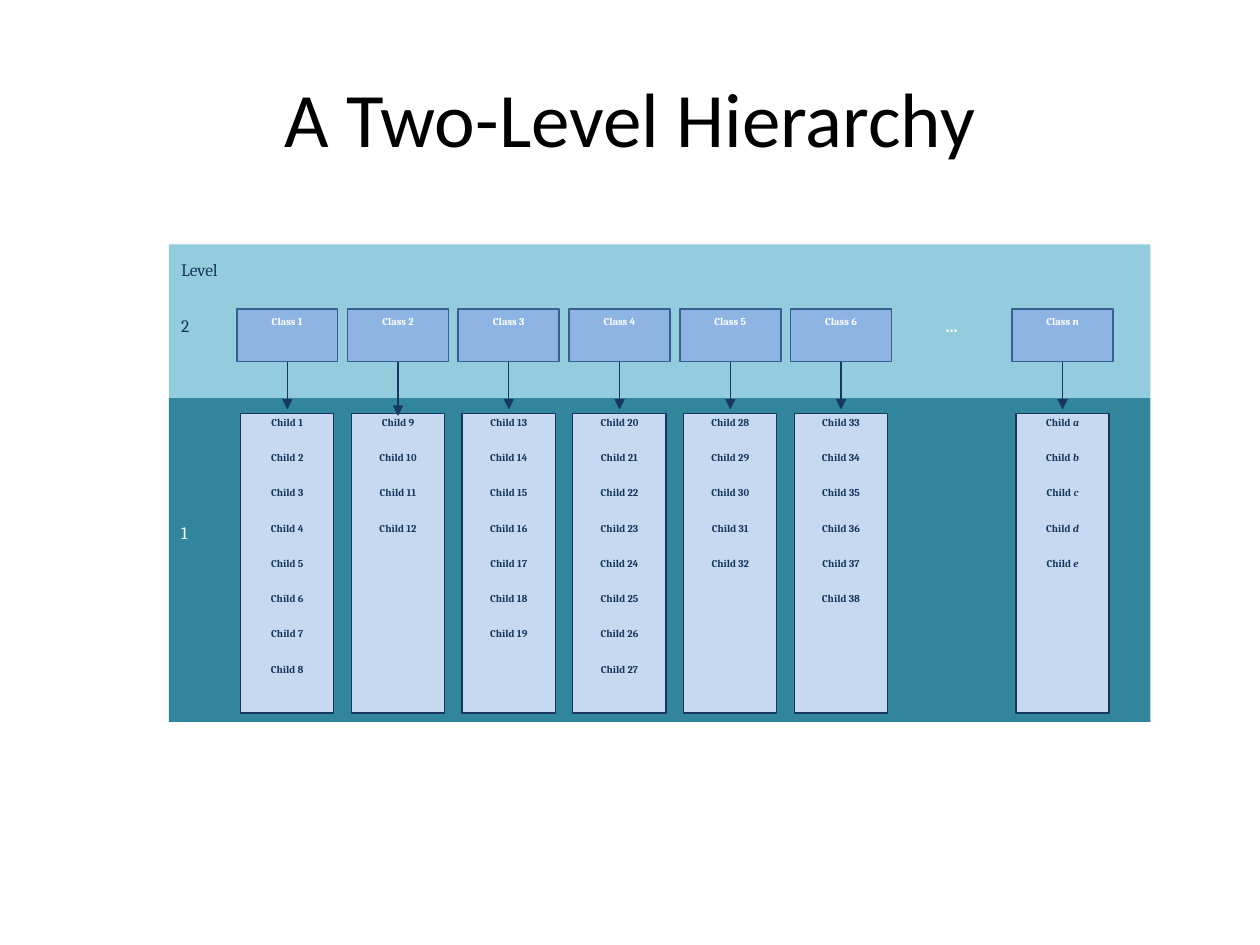
from dataclasses import dataclass
from itertools import count, islice

import pptx
import pptx.dml.color
import pptx.enum.shapes
import pptx.enum.text
import pptx.oxml
import pptx.oxml.ns
import pptx.util

Inches = pptx.util.Inches
Kind = pptx.enum.shapes.MSO_SHAPE
Align = pptx.enum.text.PP_ALIGN
Anchor = pptx.enum.text.MSO_ANCHOR

NAVY, INK, WHITE = "17375E", "17365D", "FFFFFF"
LEFT, PITCH, WIDE = 1.88, 0.879, 0.8     # column grid
ROW, HIGH = 2.45, 0.42                   # class row
TOP, STEP = 3.25, 0.28                   # child rows


@dataclass
class Style:
    size: float
    color: str
    bold: bool = False
    font: str = "Cambria"
    align: Align = Align.CENTER


@dataclass
class Column:
    slot: int
    name: str
    kids: list[str]
    var: str = ""
    marks: str = ""
    tip: float = TOP


@dataclass
class Label:
    text: str
    top: float
    width: float
    height: float
    color: str


CLASS = Style(6, WHITE, True)
CHILD = Style(6, INK, True)
DOTS = Style(10, WHITE, True)
TITLE = Style(44, "000000", font="Calibri")


def rgb(code: str) -> pptx.dml.color.RGBColor:
    return pptx.dml.color.RGBColor.from_string(code)


def write(shape, text: str, style: Style, var: str = "") -> None:
    """Set one paragraph, ending in an italic variable if given."""
    frame = shape.text_frame
    frame.word_wrap = True
    frame.text = text
    para = frame.paragraphs[0]
    para.alignment = style.align
    if var:
        run = para.add_run()
        run.text = var
        run.font.italic = True
    for run in para.runs:
        run.font.size = pptx.util.Pt(style.size)
        run.font.name = style.font
        run.font.bold = style.bold
        run.font.color.rgb = rgb(style.color)


def box(shapes, kind: Kind, x: float, y: float, w: float, h: float,
        fill: str = "", line: str = "", weight: float = 0.75):
    shape = shapes.add_shape(kind, Inches(x), Inches(y), Inches(w), Inches(h))
    shape.shadow.inherit = False
    shape.text_frame.vertical_anchor = Anchor.TOP
    if fill:
        shape.fill.solid()
        shape.fill.fore_color.rgb = rgb(fill)
    else:
        shape.fill.background()
    if line:
        shape.line.color.rgb = rgb(line)
        shape.line.width = pptx.util.Pt(weight)
    else:
        shape.line.fill.background()
    return shape


def arrow(shapes, head, child, tip: float) -> None:
    """Point from a class box down to its first child."""
    mid = head.left + head.width // 2
    link = shapes.add_connector(pptx.enum.shapes.MSO_CONNECTOR.STRAIGHT,
                                mid, head.top + head.height, mid, Inches(tip))
    link.begin_connect(head, 2)
    if tip == TOP:
        link.end_connect(child, 0)
    link.line.color.rgb = rgb(NAVY)
    link.line.width = pptx.util.Pt(0.75)
    props = link.line._get_or_add_ln()
    end = pptx.oxml.parse_xml(
        f'<a:tailEnd {pptx.oxml.ns.nsdecls("a")} type="triangle"/>')
    props.append(end)
    props.getparent().append(pptx.oxml.parse_xml(
        f'<a:effectLst {pptx.oxml.ns.nsdecls("a")}/>'))


def draw(shapes, col: Column) -> None:
    x = LEFT + col.slot * PITCH
    head = box(shapes, Kind.FLOWCHART_PROCESS, x, ROW, WIDE, HIGH,
               "8EB4E3", "376092", 1)
    write(head, col.name, CLASS, col.var)
    box(shapes, Kind.RECTANGLE, x + 0.03, 3.28, 0.74, 2.38, "C6D9F1", NAVY)
    cells = []
    for row, text in enumerate(col.kids):
        cell = box(shapes, Kind.FLOWCHART_PROCESS,
                   x, TOP + row * STEP, WIDE, 0.31)
        write(cell, text, CHILD, col.marks[row:row + 1])
        cells.append(cell)
    arrow(shapes, head, cells[0], col.tip)


def columns() -> list[Column]:
    number = count(1)
    cols = [Column(slot, f"Class {slot + 1}",
                   [f"Child {n}" for n in islice(number, size)])
            for slot, size in enumerate((8, 4, 7, 8, 5, 6))]
    cols[1].tip = 3.3
    cols.append(Column(7, "Class ", ["Child "] * 5, "n", "abcde"))
    return cols


def main() -> None:
    deck = pptx.Presentation()
    deck.slide_width, deck.slide_height = Inches(10), Inches(7.5)
    slide = deck.slides.add_slide(deck.slide_layouts[6])

    # Title
    title = slide.shapes.add_textbox(
        Inches(0.5), Inches(0.3), Inches(9), Inches(1.25))
    title.text_frame.vertical_anchor = Anchor.MIDDLE
    write(title, "A Two-Level Hierarchy", TITLE)

    # Level bands
    shapes = slide.shapes.add_group_shape().shapes
    box(shapes, Kind.RECTANGLE, 1.34, 1.94, 7.79, 1.22, "93CDDD")
    box(shapes, Kind.RECTANGLE, 1.34, 3.16, 7.79, 2.57, "31859C")

    # Classes with their children
    for col in columns():
        draw(shapes, col)
    dots = box(shapes, Kind.FLOWCHART_PROCESS,
               LEFT + 6 * PITCH, ROW, WIDE, HIGH)
    write(dots, "...", DOTS)

    # Level labels
    for tag in (Label("Level", 2.01, 0.94, 0.44, INK),
                Label("2", ROW, 0.4, 0.48, INK),
                Label("1", 4.09, 0.4, 0.48, WHITE)):
        note = shapes.add_textbox(Inches(1.34), Inches(tag.top),
                                  Inches(tag.width), Inches(tag.height))
        write(note, tag.text, Style(10, tag.color, align=Align.JUSTIFY))

    deck.save("out.pptx")


if __name__ == "__main__":
    main()
